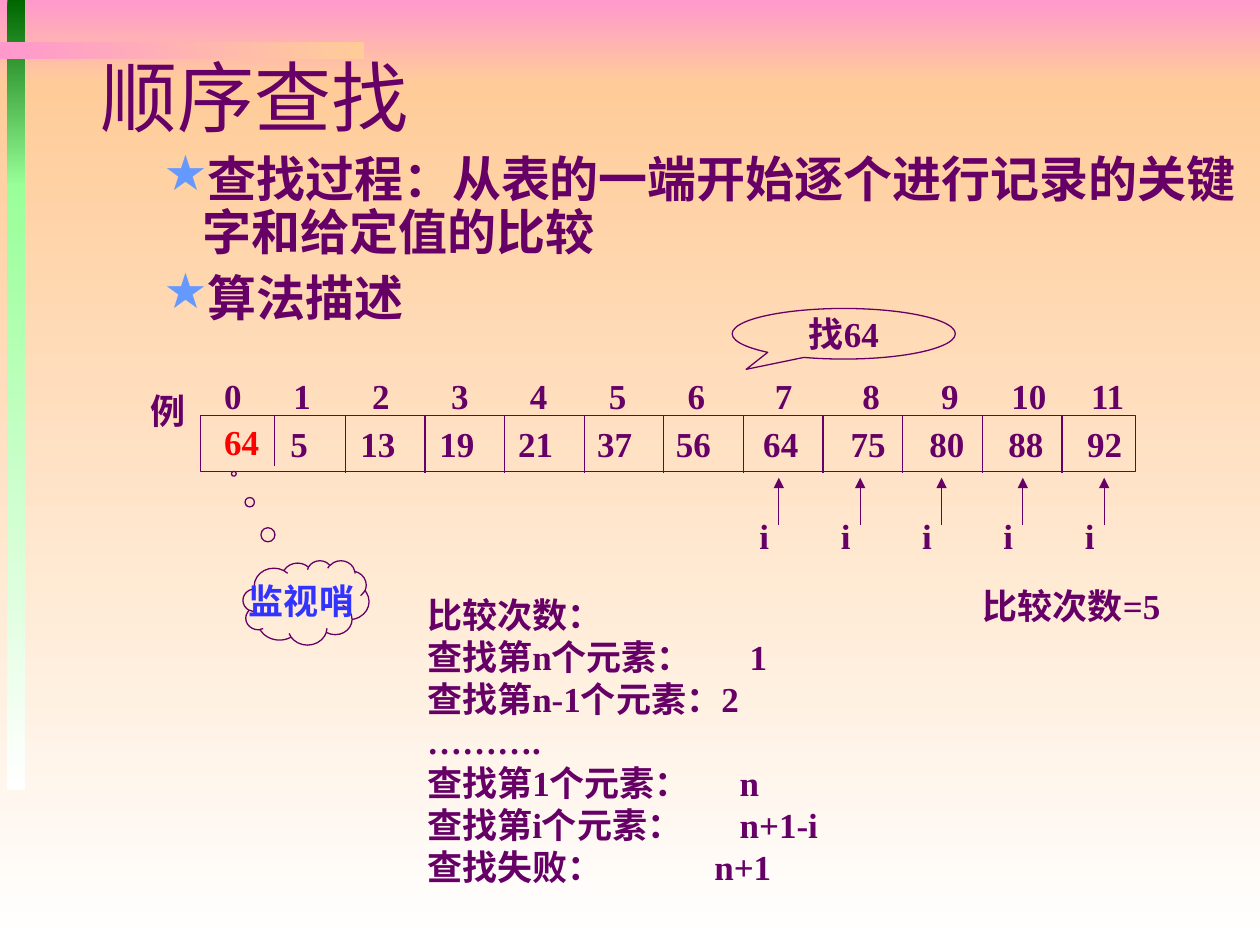
from dataclasses import dataclass
from itertools import accumulate
from typing import NamedTuple

from lxml.etree import SubElement
from pptx import Presentation
from pptx.dml.color import RGBColor
from pptx.enum.shapes import MSO_CONNECTOR, MSO_SHAPE
from pptx.enum.text import MSO_ANCHOR, PP_ALIGN
from pptx.oxml.ns import qn
from pptx.util import Cm, Pt

RECT = MSO_SHAPE.RECTANGLE
OVAL = MSO_SHAPE.OVAL_CALLOUT
CLOUD = MSO_SHAPE.CLOUD_CALLOUT
LINE = MSO_CONNECTOR.STRAIGHT
MIDDLE = MSO_ANCHOR.MIDDLE
LEFT, CENTER = PP_ALIGN.LEFT, PP_ALIGN.CENTER


@dataclass(frozen=True)
class Theme:
    ink: str = "660066"
    alert: str = "FF0000"
    note: str = "3333FF"
    star: str = "6699FF"
    pink: str = "FF99CC"
    peach: str = "FFCC99"
    dark: str = "006600"
    lime: str = "99FF99"
    white: str = "FFFFFF"
    serif: str = "Times New Roman"
    sans: str = "Arial"
    han: str = "Noto Sans CJK SC"
    title: int = 44
    point: int = 28
    body: int = 20
    rule: float = 0.75


T = Theme()


class Box(NamedTuple):
    x: float
    y: float
    w: float
    h: float

    def cm(self) -> list:
        return [Cm(side) for side in self]


class Band(NamedTuple):
    box: Box
    start: str
    end: str
    angle: int = 270


class Bubble(NamedTuple):
    kind: int
    box: Box
    tip: tuple
    text: str
    color: str


class Count(NamedTuple):
    text: str
    tab: float = 0


BANDS = [
    Band(Box(0, 0, 25.4, 1.7), T.pink, T.peach),
    Band(Box(0, 1.7, 25.4, 17.35), T.peach, T.white),
    Band(Box(0.15, 0, 0.36, 3.76), T.dark, T.lime),
    Band(Box(0.15, 3.71, 0.36, 12.22), T.lime, T.white),
    Band(Box(0, 0.84, 7.34, 0.36), T.pink, T.peach, 0),
]
POINTS = ["查找过程：从表的一端开始逐个进行记录的关键字和给定值的比较", "算法描述"]
KEYS = [5, 13, 19, 21, 37, 56, 64, 75, 80, 88, 92]
MIDS = list(accumulate([6.09] + [1.59] * 5 + [1.76] * 2 + [1.59] * 3))
BUBBLES = [
    Bubble(OVAL, Box(14.76, 6.22, 4.5, 1.02), (-0.437, 0.702), "找64", T.ink),
    Bubble(CLOUD, Box(4.9, 11.3, 2.54, 1.7), (-0.573, -1.529), "监视哨", T.note),
]
COUNTS = [
    Count("比较次数："),
    Count("查找第n个元素：\t1", 6.5),
    Count("查找第n-1个元素：2"),
    Count("……….",),
    Count("查找第1个元素：\tn", 6.3),
    Count("查找第i个元素：\tn+1-i", 6.3),
    Count("查找失败：\tn+1", 5.79),
]


def write(para, text: str, color: str = T.ink, size: int = T.body,
          face: str = T.serif, bold: bool = True) -> None:
    run = para.add_run()
    run.text = text
    font = run.font
    font.name, font.size, font.bold = face, Pt(size), bold
    font.color.rgb = RGBColor.from_string(color)


def set_tabs(para, stops: list, align: str) -> None:
    tabs = SubElement(para._p.get_or_add_pPr(), qn("a:tabLst"))
    for stop in stops:
        SubElement(tabs, qn("a:tab"), pos=str(Cm(stop)), algn=align)


def set_star(para) -> None:
    props = para._p.get_or_add_pPr()
    props.set("marL", str(Cm(2.06)))
    props.set("indent", str(Cm(-0.79)))
    tint = SubElement(props, qn("a:buClr"))
    SubElement(tint, qn("a:srgbClr"), val=T.star)
    SubElement(props, qn("a:buChar"), char="★")


def add_text(slide, box: Box, wrap: bool = True):
    frame = slide.shapes.add_textbox(*box.cm()).text_frame
    frame.word_wrap = wrap
    return frame


def add_label(slide, box: Box, text: str, color: str = T.ink) -> None:
    write(add_text(slide, box, False).paragraphs[0], text, color)


def add_band(slide, band: Band) -> None:
    shape = slide.shapes.add_shape(RECT, *band.box.cm())
    shape.shadow.inherit = False
    shape.line.fill.background()
    shape.fill.gradient()
    shape.fill.gradient_angle = band.angle
    for stop, color in zip(shape.fill.gradient_stops, (band.start, band.end)):
        stop.color.rgb = RGBColor.from_string(color)


def add_frame(slide, kind: int, box: Box):
    shape = slide.shapes.add_shape(kind, *box.cm())
    shape.shadow.inherit = False
    shape.fill.background()
    shape.line.color.rgb = RGBColor.from_string(T.ink)
    shape.line.width = Pt(T.rule)
    shape.text_frame.vertical_anchor = MIDDLE
    return shape


def add_bubble(slide, bubble: Bubble) -> None:
    shape = add_frame(slide, bubble.kind, bubble.box)
    for index, value in enumerate(bubble.tip):
        shape.adjustments[index] = value
    shape.text_frame.word_wrap = False
    para = shape.text_frame.paragraphs[0]
    para.alignment = CENTER
    write(para, bubble.text, bubble.color)


def add_line(slide, x: float, top: float, end: float, arrow: bool = False) -> None:
    line = slide.shapes.add_connector(LINE, Cm(x), Cm(top), Cm(x), Cm(end))
    line.line.color.rgb = RGBColor.from_string(T.ink)
    line.line.width = Pt(T.rule)
    props = line._element.spPr
    if arrow:
        SubElement(props.find(qn("a:ln")), qn("a:tailEnd"), type="triangle")
    SubElement(props, qn("a:effectLst"))


def add_head(slide) -> None:
    frame = add_text(slide, Box(1.78, 1.09, 23.62, 5.82))
    para = frame.paragraphs[0]
    para.line_spacing = 0.9
    write(para, "顺序查找", size=T.title, face=T.han, bold=False)
    for text in POINTS:
        para = frame.add_paragraph()
        set_star(para)
        para.line_spacing = 0.9
        para.space_before = Pt(7)
        write(para, text, size=T.point, face=T.sans)


def add_array(slide) -> None:
    add_label(slide, Box(2.79, 7.72, 1.37, 1.12), "例")
    para = add_text(slide, Box(4.27, 7.42, 18.72, 1.12)).paragraphs[0]
    set_tabs(para, [mid - 4.52 for mid in MIDS], "ctr")
    write(para, "\t".join(str(index) for index in range(12)))
    shape = add_frame(slide, RECT, Box(4.04, 8.38, 18.85, 1.12))
    shape.text_frame.margin_right = 0
    para = shape.text_frame.paragraphs[0]
    para.alignment = LEFT
    set_tabs(para, [mid - 4.35 for mid in MIDS], "ctr")
    write(para, "".join(f"\t{key}" for key in KEYS))
    add_line(slide, 5.54, 8.36, 9.4)
    for index in range(10):
        add_line(slide, 6.96 + index * 14.45 / 9, 8.38, 9.53)
    add_label(slide, Box(4.27, 8.36, 1.22, 1.12), "64", T.alert)
    for index in range(5):
        x = 15.7 + 1.64 * index
        add_line(slide, x, 10.59, 9.63, True)
        add_label(slide, Box(x - 0.64, 10.24, 0.69, 1.12), "i")


def add_counts(slide) -> None:
    add_label(slide, Box(19.56, 11.66, 4.27, 1.12), "比较次数=5")
    frame = add_text(slide, Box(8.36, 11.84, 8.6, 6.2))
    for index, count in enumerate(COUNTS):
        para = frame.add_paragraph() if index else frame.paragraphs[0]
        if count.tab:
            set_tabs(para, [count.tab], "l")
        write(para, count.text)


def main() -> None:
    deck = Presentation()
    deck.slide_width, deck.slide_height = Cm(25.4), Cm(19.05)
    slide = deck.slides.add_slide(deck.slide_layouts[6])
    for band in BANDS:
        add_band(slide, band)
    add_head(slide)
    add_array(slide)
    for bubble in BUBBLES:
        add_bubble(slide, bubble)
    add_counts(slide)
    deck.save("out.pptx")


if __name__ == "__main__":
    main()
